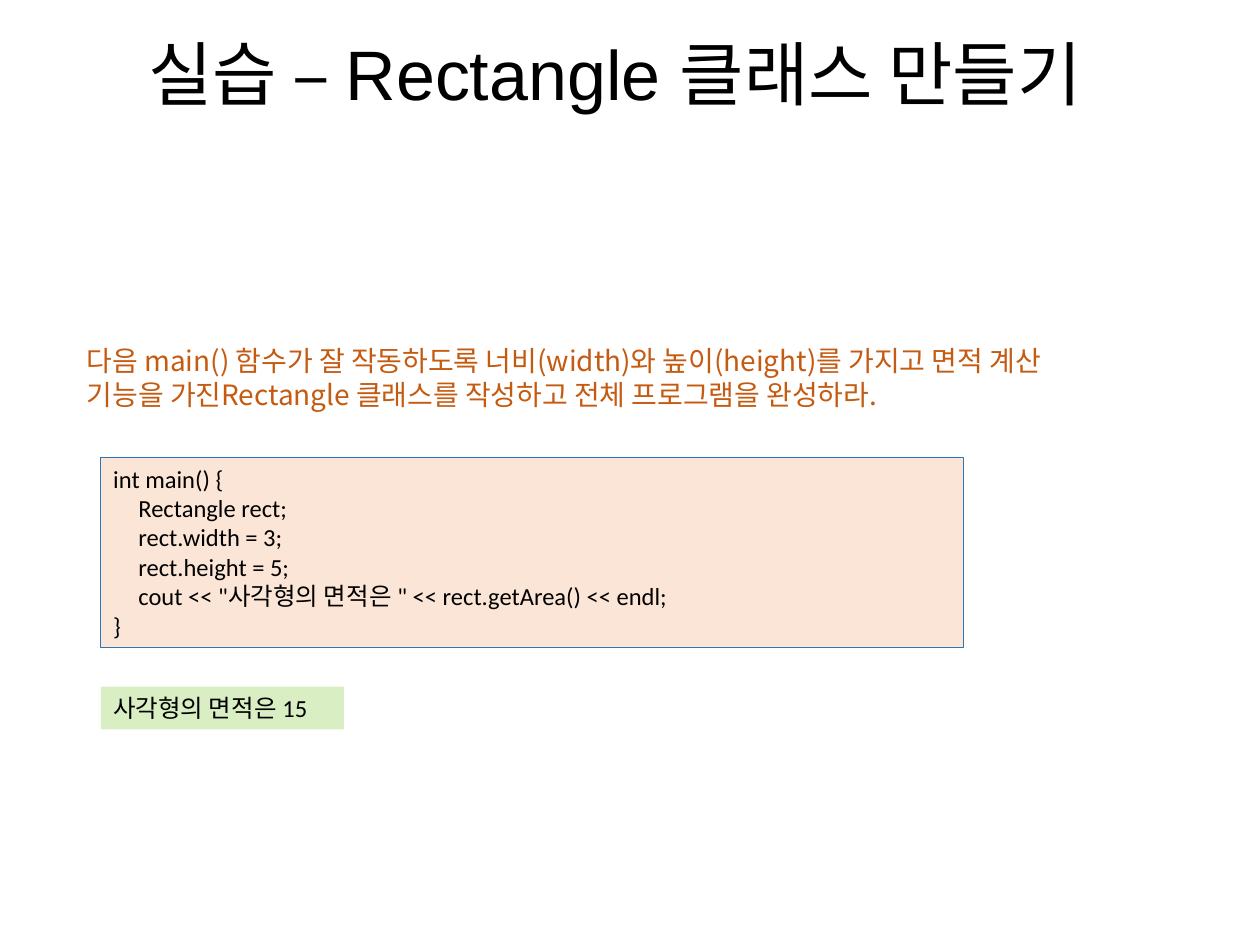
from pptx import Presentation
from pptx.dml.color import RGBColor
from pptx.enum.shapes import MSO_SHAPE
from pptx.enum.text import MSO_ANCHOR, PP_ALIGN
from pptx.util import Inches, Pt

BLACK = RGBColor(0x00, 0x00, 0x00)
ORANGE = RGBColor(0xC5, 0x5A, 0x11)
PEACH = RGBColor(0xFB, 0xE5, 0xD6)
BLUE = RGBColor(0x2E, 0x75, 0xB6)
GREEN = RGBColor(0xDA, 0xEE, 0xC4)

CODE = [
    (0, "int main() {"),
    (1, "Rectangle rect;"),
    (1, "rect.width = 3;"),
    (1, "rect.height = 5;"),
    (1, 'cout << "사각형의 면적은 " << rect.getArea() << endl;'),
    (0, "}"),
]


class SlideBuilder:
    """Holds the text style and the current slide."""

    code_font, code_size, code_indent = "Calibri", 14, 0.2

    def __init__(self, prs):
        """Add a blank slide to the presentation."""
        self.slide = prs.slides.add_slide(prs.slide_layouts[6])

    def add_run(self, p, text, font, size, color):
        """Add one styled run to a paragraph."""
        r = p.add_run()
        r.text = text
        r.font.name = font
        r.font.size = Pt(size)
        r.font.color.rgb = color

    def add_text(self, box, text, font, size, color, align=PP_ALIGN.LEFT,
                 anchor=MSO_ANCHOR.TOP, spacing=None):
        """Add a wrapped text box with one paragraph."""
        tf = self.slide.shapes.add_textbox(*map(Inches, box)).text_frame
        tf.word_wrap = True
        tf.vertical_anchor = anchor
        p = tf.paragraphs[0]
        p.alignment = align
        p.line_spacing = spacing
        self.add_run(p, text, font, size, color)

    def add_panel(self, box, lines, fill, line=None):
        """Add a filled rectangle holding (level, text) lines."""
        sp = self.slide.shapes.add_shape(MSO_SHAPE.RECTANGLE, *map(Inches, box))
        sp.shadow.inherit = False
        sp.fill.solid()
        sp.fill.fore_color.rgb = fill
        if line is None:
            sp.line.fill.background()
        else:
            sp.line.color.rgb = line
            sp.line.width = Pt(0.75)
        tf = sp.text_frame
        tf.word_wrap = True
        tf.vertical_anchor = MSO_ANCHOR.TOP
        for i, (level, text) in enumerate(lines):
            p = tf.add_paragraph() if i else tf.paragraphs[0]
            p.alignment = PP_ALIGN.LEFT
            if level:
                indent = Inches(level * self.code_indent)
                p._p.get_or_add_pPr().set("marL", str(indent))
            self.add_run(p, text, self.code_font, self.code_size, BLACK)


def main():
    """Build the exercise slide and save it."""
    prs = Presentation()
    prs.slide_width, prs.slide_height = Inches(10), Inches(7.5)
    s = SlideBuilder(prs)
    s.add_text((0.59, 2.68, 8.35, 0.64),
               "다음 main() 함수가 잘 작동하도록 너비(width)와 높이(height)를 가지고 면적 계산 "
               "기능을 가진Rectangle 클래스를 작성하고 전체 프로그램을 완성하라.",
               "Noto Sans CJK KR", 16, ORANGE)
    s.add_panel((0.8, 3.63, 6.85, 1.51), CODE, PEACH, BLUE)
    s.add_panel((0.8, 5.45, 1.93, 0.34), [(0, "사각형의 면적은 15")], GREEN)
    s.add_text((0.42, 0.23, 8.92, 0.74), "실습 – Rectangle 클래스 만들기",
               "Arial", 40, BLACK, PP_ALIGN.CENTER, MSO_ANCHOR.BOTTOM, 0.9)
    prs.save("out.pptx")


main()
